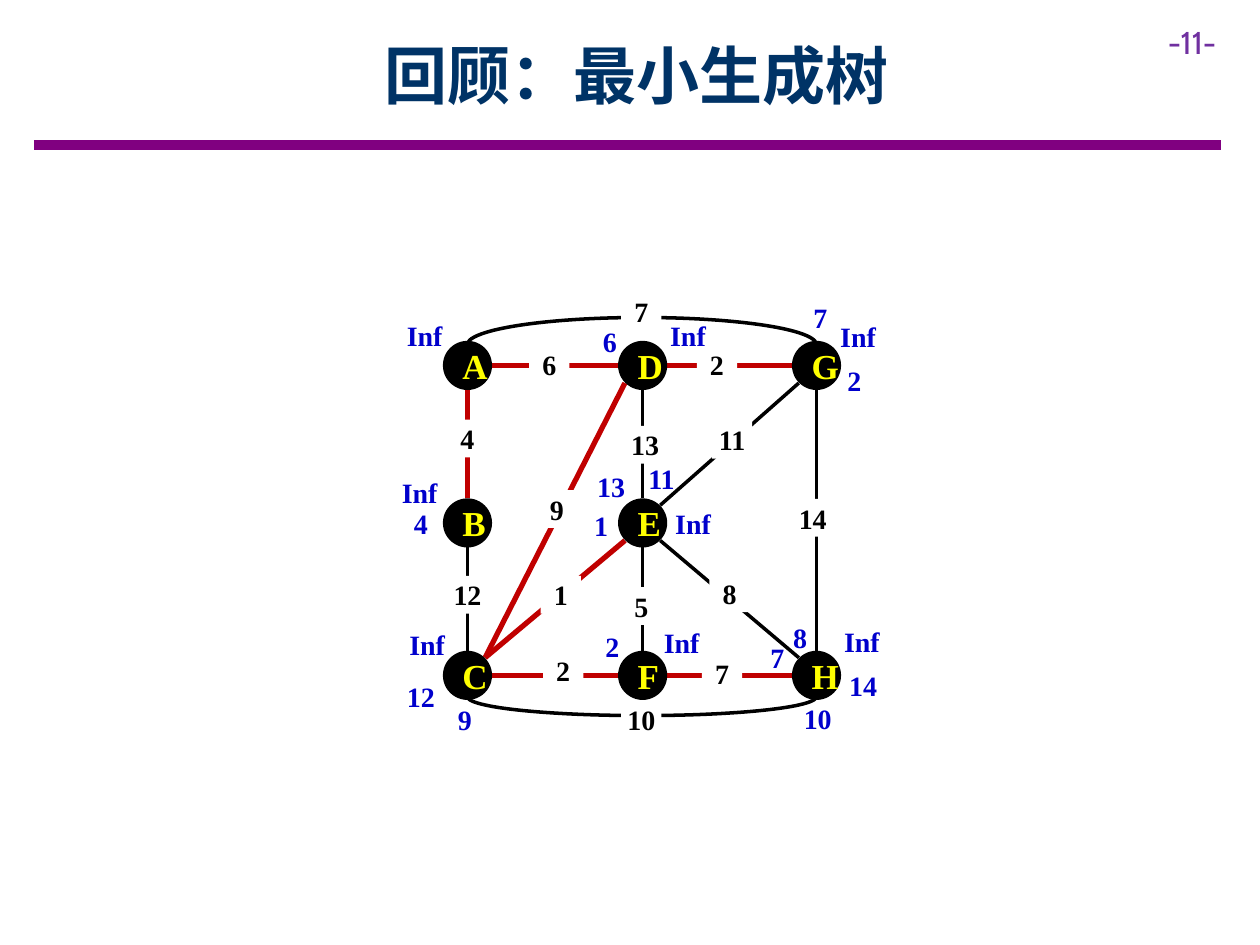
from pptx import Presentation
from pptx.dml.color import RGBColor
from pptx.enum.shapes import MSO_CONNECTOR, MSO_SHAPE
from pptx.enum.text import MSO_ANCHOR, MSO_AUTO_SIZE, PP_ALIGN
from pptx.oxml.ns import qn
from pptx.util import Inches, Pt
from lxml import etree

LINE = MSO_CONNECTOR.STRAIGHT
OVAL, RECT, ARC = MSO_SHAPE.OVAL, MSO_SHAPE.RECTANGLE, MSO_SHAPE.ARC
MID, FIXED = MSO_ANCHOR.MIDDLE, MSO_AUTO_SIZE.NONE
LEFT, CENTER = PP_ALIGN.LEFT, PP_ALIGN.CENTER

HAN, SERIF, SANS = "Noto Sans CJK SC", "Times New Roman", "Cabin"
THEME = {
    "title": {"name": HAN, "size": Pt(36), "bold": True, "color": "003366"},
    "page": {"name": SANS, "size": Pt(18), "bold": False, "color": "7030A0"},
    "node": {"name": SERIF, "size": Pt(20), "bold": True, "color": "FFFF00"},
    "cost": {"name": SERIF, "size": Pt(16), "bold": True, "color": "000000"},
    "key": {"name": SERIF, "size": Pt(16), "bold": True, "color": "0000CC"},
    "rule": ("800080", 6),
    "edge": ("000000", 2),
    "tree": ("C00000", 3),
    "disc": "000000",
    "mask": "FFFFFF",
}


def write(shape, text, style, align=CENTER, side=0.1):
    """Put one styled line of text in a shape."""
    frame = shape.text_frame
    form = {"word_wrap": True, "auto_size": FIXED, "vertical_anchor": MID,
            "margin_left": Inches(side), "margin_right": Inches(side)}
    if style in ("node", "cost", "key"):
        form.update(margin_top=Inches(0.1), margin_bottom=Inches(0.1))
    for name, value in form.items():
        setattr(frame, name, value)
    para = frame.paragraphs[0]
    para.alignment = align
    run = para.add_run()
    run.text = text
    for name, value in THEME[style].items():
        if name == "color":
            run.font.color.rgb = RGBColor.from_string(value)
        else:
            setattr(run.font, name, value)
    if style == "title":
        east = etree.SubElement(run.font._element, qn("a:ea"))
        east.set("typeface", HAN)


def draw(start, end, style):
    """Draw a straight line in a theme style."""
    line = slide.shapes.add_connector(LINE, *map(Inches, start + end))
    color, width = THEME[style]
    line.line.color.rgb = RGBColor.from_string(color)
    line.line.width = Pt(width)
    etree.SubElement(line.element.spPr, qn("a:effectLst"))


deck = Presentation()
deck.slide_width, deck.slide_height = Inches(10), Inches(7.5)
slide = deck.slides.add_slide(deck.slide_layouts[5])
shapes = slide.shapes

draw((0.27, 1.15), (9.69, 1.15), "rule")
page = shapes.add_textbox(*map(Inches, (9.17, 0.13, 0.83, 0.4)))
write(page, "-11-", "page", LEFT)

title = shapes.title
place = {"left": 0.9, "top": 0.09, "width": 8.31, "height": 1}
for name, value in place.items():
    setattr(title, name, Inches(value))
write(title, "回顾：最小生成树", "title")

# Node centres sit on a grid of three columns and three rows.
COLS, ROWS = (3.71, 5.1, 6.48), (2.9, 4.15, 5.36)
GRID = ("ADG", "BE", "CFH")
nodes = {name: (x, y) for y, row in zip(ROWS, GRID)
         for x, name in zip(COLS, row)}
SIZE = 0.39
RIM, SLANT = SIZE / 2, 0.14

edges = {
    "edge": ("BC", "DE", "EF", "EH", "EG", "GH"),
    "tree": ("AB", "AD", "DG", "DC", "EC", "CF", "FH"),
}
for style, pairs in edges.items():
    for a, b in pairs:
        (x1, y1), (x2, y2) = nodes[a], nodes[b]
        dx, dy = (x2 > x1) - (x2 < x1), (y2 > y1) - (y2 < y1)
        gap = SLANT if dx and dy else RIM
        draw((x1 + gap * dx, y1 + gap * dy),
             (x2 - gap * dx, y2 - gap * dy), style)

for top, height, flip in ((2.52, 0.43, False), (5.38, 0.3, True)):
    arc = shapes.add_shape(ARC, *map(Inches, (3.71, top, 2.77, height)))
    arc.adjustments[0], arc.adjustments[1] = 108.175, 0
    arc.shadow.inherit = False
    arc.fill.background()
    color, width = THEME["edge"]
    arc.line.color.rgb = RGBColor.from_string(color)
    arc.line.width = Pt(width)
    if flip:
        arc.element.spPr.find(qn("a:xfrm")).set("flipV", "1")

WIDE, HIGH = 0.32, 0.3
costs = (
    ("12", 3.55, 4.57), ("13", 4.96, 3.38), ("11", 5.65, 3.34),
    ("14", 6.29, 3.96), ("8", 5.63, 4.56), ("10", 4.93, 5.56),
    ("7", 4.93, 2.32), ("4", 3.55, 3.33), ("6", 4.2, 2.74),
    ("2", 5.53, 2.74), ("9", 4.26, 3.89), ("1", 4.29, 4.57),
    ("5", 4.93, 4.66), ("7", 5.57, 5.19), ("2", 4.31, 5.17),
)
marks = [(RECT, "mask", "cost", text, x, y, WIDE, HIGH, 0)
         for text, x, y in costs]
marks += [(OVAL, "disc", "node", name, x - RIM, y - RIM, SIZE, SIZE, 0.1)
          for name, (x, y) in nodes.items()]
for kind, fill, style, text, x, y, wide, high, side in marks:
    mark = shapes.add_shape(kind, *map(Inches, (x, y, wide, high)))
    mark.shadow.inherit = False
    mark.fill.solid()
    mark.fill.fore_color.rgb = RGBColor.from_string(THEME[fill])
    mark.line.fill.background()
    write(mark, text, style, side=side)

keys = (
    ("Inf", 5.3, 2.51), ("Inf", 6.65, 2.52), ("Inf", 3.17, 3.76),
    ("Inf", 5.34, 4), ("Inf", 5.25, 4.95), ("Inf", 6.68, 4.94),
    ("Inf", 3.23, 4.96), ("Inf", 3.21, 2.51), ("6", 4.68, 2.56),
    ("7", 6.35, 2.37), ("4", 3.18, 4), ("12", 3.18, 5.38),
    ("2", 6.62, 2.87), ("13", 4.69, 3.71), ("9", 3.53, 5.56),
    ("14", 6.69, 5.29), ("11", 5.09, 3.65), ("1", 4.61, 4.02),
    ("2", 4.7, 4.98), ("10", 6.33, 5.55), ("8", 6.19, 4.91),
    ("7", 6.01, 5.07),
)
for text, x, y in keys:
    key = shapes.add_textbox(*map(Inches, (x, y, WIDE, HIGH)))
    write(key, text, "key", side=0)

deck.save("out.pptx")
